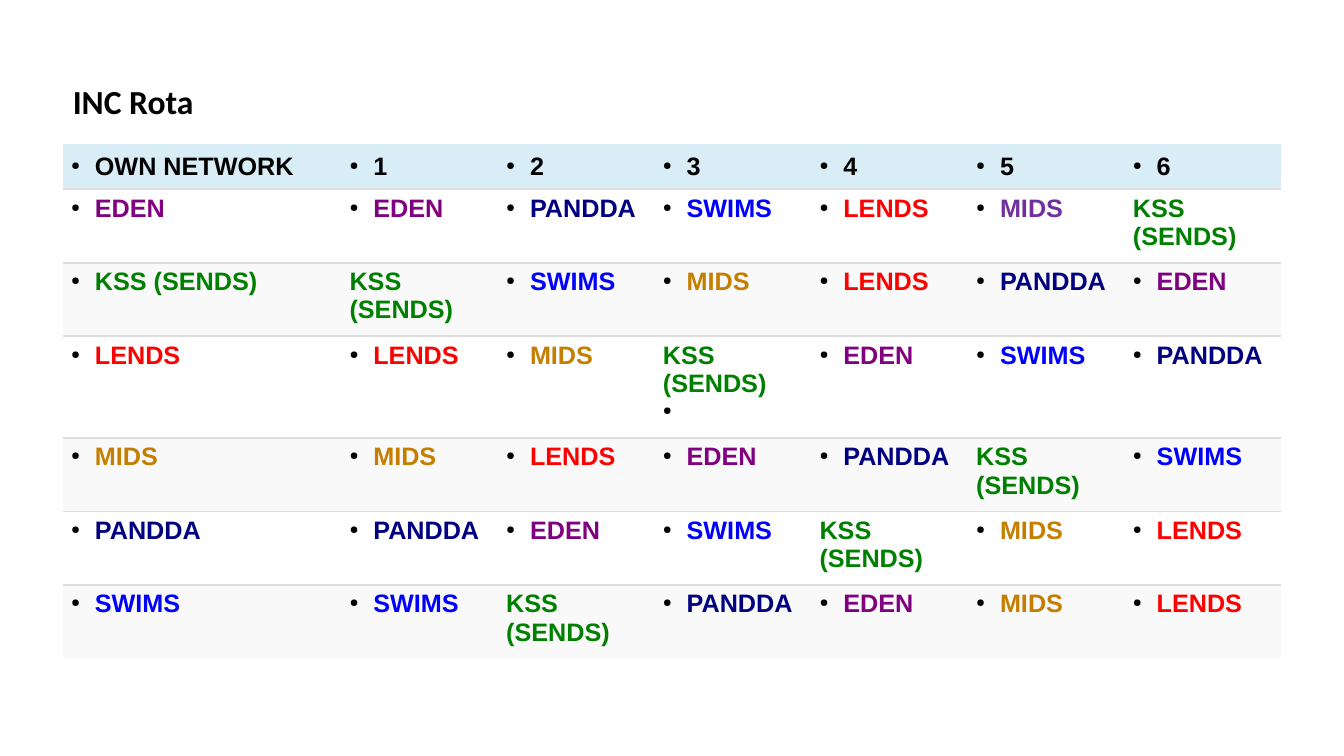
from lxml import etree
from pptx import Presentation
from pptx.dml.color import RGBColor
from pptx.enum.text import MSO_ANCHOR
from pptx.oxml.ns import qn
from pptx.util import Pt

TOP, MIDDLE, BOTTOM = MSO_ANCHOR.TOP, MSO_ANCHOR.MIDDLE, MSO_ANCHOR.BOTTOM
BLACK = "000000"
KSS = "KSS (SENDS)"
COLORS = {
    "EDEN": "800080", KSS: "008000", "LENDS": "FF0000",
    "MIDS": "C47E00", "PANDDA": "000080", "SWIMS": "0000FF",
}
ROTA = [
    ["OWN NETWORK", "1", "2", "3", "4", "5", "6"],
    ["EDEN", "EDEN", "PANDDA", "SWIMS", "LENDS", "MIDS", KSS],
    [KSS, KSS, "SWIMS", "MIDS", "LENDS", "PANDDA", "EDEN"],
    ["LENDS", "LENDS", "MIDS", KSS + "\n ", "EDEN", "SWIMS", "PANDDA"],
    ["MIDS", "MIDS", "LENDS", "EDEN", "PANDDA", KSS, "SWIMS"],
    ["PANDDA", "PANDDA", "EDEN", "SWIMS", KSS, "MIDS", "LENDS"],
    ["SWIMS", "SWIMS", KSS, "PANDDA", "EDEN", "MIDS", "LENDS"],
]
WIDTHS = [198.9] + [111.93] * 6
HEIGHTS = [32.2, 52.5, 52.5, 72.7, 52.5, 52.5, 52.5]
ODD_MIDS = (1, 5)  # the one MIDS cell in a different purple


def rgb(code):
    return RGBColor.from_string(code)


def add_tag(parent, tag, **attrs):
    return etree.SubElement(parent, qn(tag), attrs)


deck = Presentation()
deck.slide_width, deck.slide_height = Pt(960), Pt(540)
slide = deck.slides.add_slide(deck.slide_layouts[6])

title = slide.shapes.add_textbox(Pt(44.9), Pt(54), Pt(293.8), Pt(36.7))
frame = title.text_frame
frame.word_wrap = True
frame.vertical_anchor = BOTTOM
para = frame.paragraphs[0]
para.text = "INC Rota"
para.line_spacing = 0.9
para.font.name, para.font.size, para.font.bold = "Calibri", Pt(24), True
para.font.color.rgb = rgb(BLACK)

table = slide.shapes.add_table(
    len(ROTA), len(WIDTHS), Pt(44.9), Pt(103), Pt(sum(WIDTHS)), Pt(sum(HEIGHTS))
).table
table.first_row = table.horz_banding = False
for col, width in zip(table.columns, WIDTHS):
    col.width = Pt(width)
for row, height in zip(table.rows, HEIGHTS):
    row.height = Pt(height)

for r, names in enumerate(ROTA):
    for c, text in enumerate(names):
        cell = table.cell(r, c)
        cell.text = text
        cell.vertical_anchor = TOP if r else MIDDLE
        cell.margin_left = cell.margin_right = Pt(5.9)
        cell.margin_top = cell.margin_bottom = Pt(3.6)

        # Borders come before the fill in the cell properties
        props = cell._tc.get_or_add_tcPr()
        ruled = {"a:lnT": r > 0, "a:lnB": r < len(ROTA) - 1}
        for side in ("a:lnL", "a:lnR", "a:lnT", "a:lnB"):
            if ruled.get(side):
                line = add_tag(props, side, w=str(Pt(1.47)))
                add_tag(add_tag(line, "a:solidFill"), "a:srgbClr", val="DDDDDD")
            else:
                add_tag(add_tag(props, side, w="0"), "a:noFill")
        cell.fill.solid()
        band = "FFFFFF" if r % 2 else "F9F9F9"
        cell.fill.fore_color.rgb = rgb(band if r else "D9EDF7")

        for para in cell.text_frame.paragraphs:
            if para.text != KSS or c == 0:
                form = para._p.get_or_add_pPr()
                form.set("marL", str(Pt(17)))
                form.set("indent", str(Pt(-17)))
                add_tag(add_tag(form, "a:buClr"), "a:srgbClr", val=BLACK)
                add_tag(form, "a:buSzPct", val="45000")
                add_tag(form, "a:buChar", char="●")
            color = COLORS.get(para.text, BLACK)
            if (r, c) == ODD_MIDS:
                color = "7030A0"
            para.font.name, para.font.size, para.font.bold = "Arial", Pt(18), True
            para.font.color.rgb = rgb(color)

deck.save("out.pptx")
